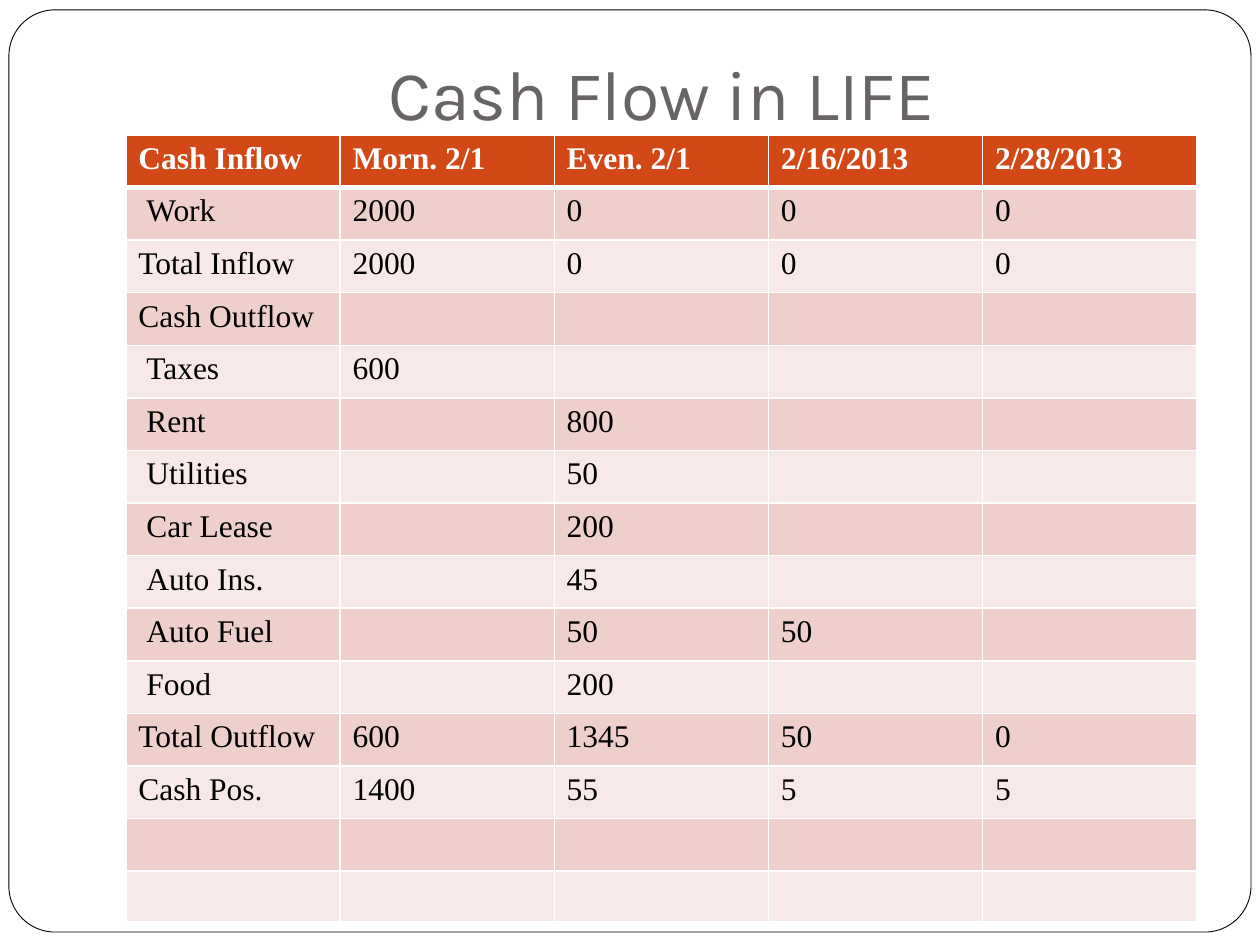
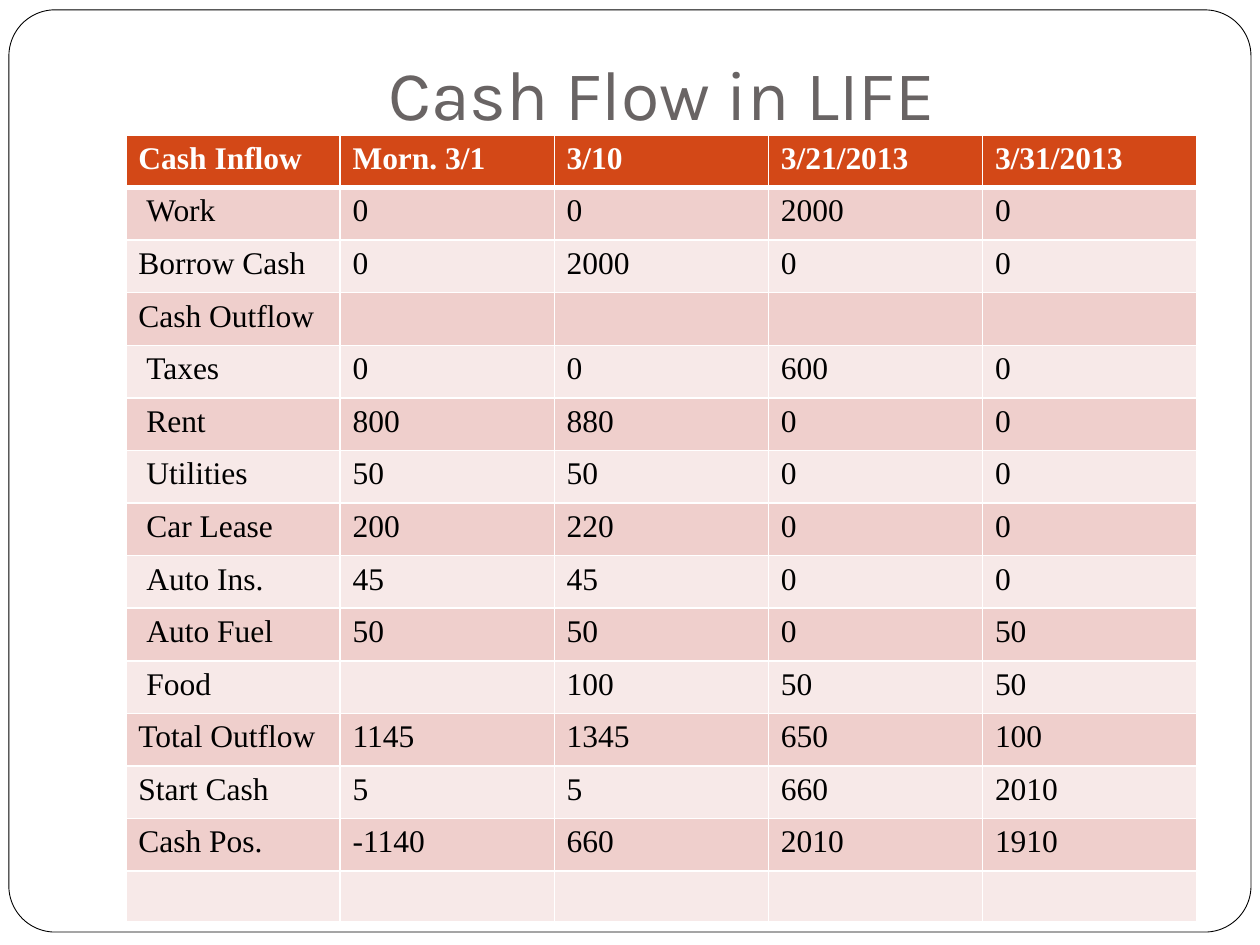
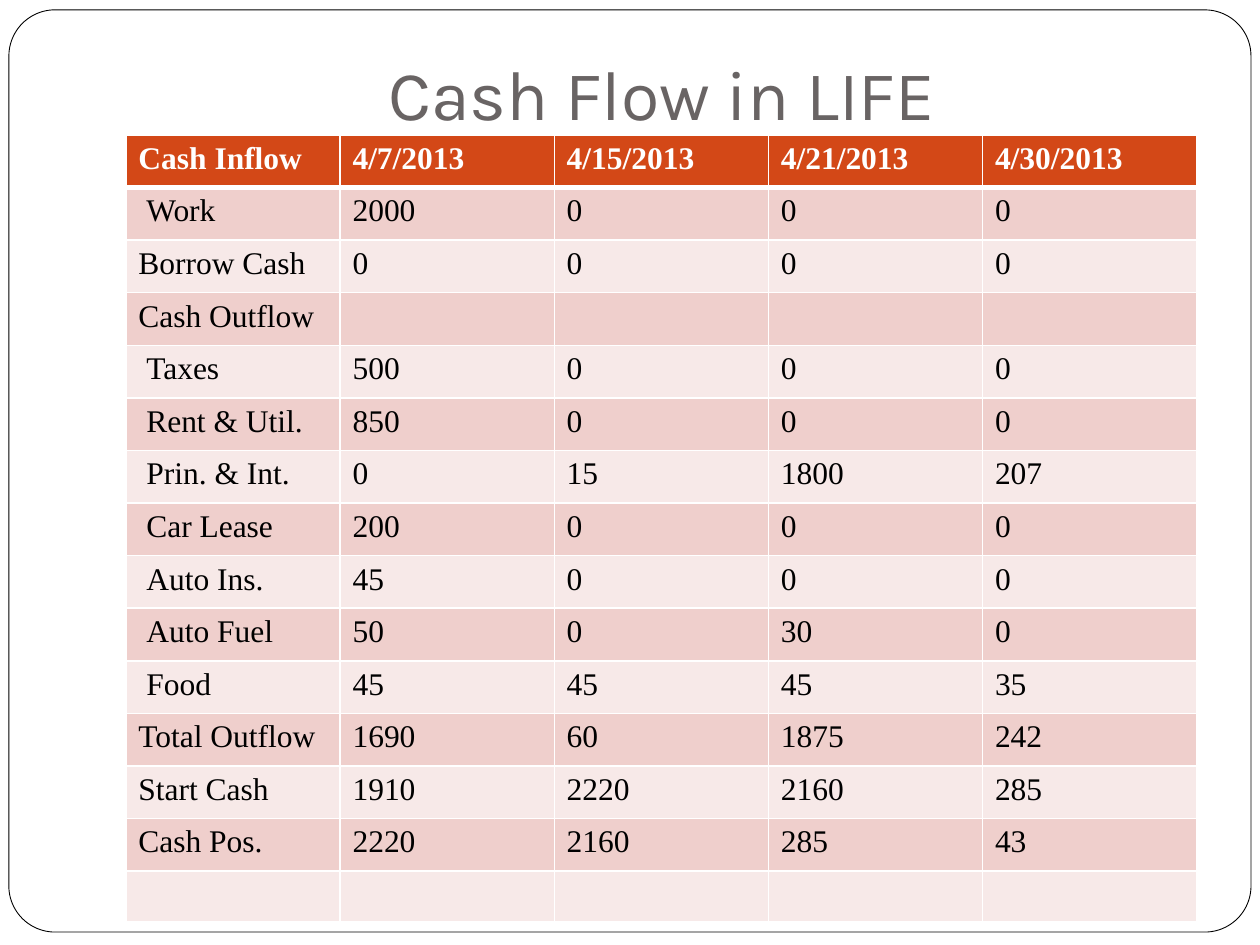
from lxml.etree import SubElement
from pptx import Presentation
from pptx.dml.color import RGBColor
from pptx.enum.shapes import MSO_SHAPE as Preset
from pptx.enum.text import MSO_ANCHOR as Anchor, MSO_AUTO_SIZE as AutoSize, PP_ALIGN as Align
from pptx.oxml.ns import qn
from pptx.util import Cm, Pt

WHITE, BLACK, TITLE_GREY = "FFFFFF", "000000", "696464"
HEADER_ORANGE, BANDS = "D34817", ("F7E9E8", "EFCFCC")
TITLE_FONT, TABLE_FONT = "Karla", "Times New Roman"
TITLE = "Cash Flow in LIFE"
FRAME_BOX = (0.18, 0.2, 25.04, 18.59)
TITLE_BOX = (2.54, 0.76, 21.59, 2.21)
TABLE_BOX = (2.54, 2.72, 21.59, 15.88)
ROW_COUNT, ROW_HEIGHT, LAST_ROW_HEIGHT = 15, 1.06, 1.02
CELL_INSET, ITEM_INSET = 0.25, 0.41
ITEMS = {"Work", "Taxes", "Rent", "Utilities", "Rent & Util.", "Prin. & Int.",
         "Car Lease", "Auto Ins.", "Auto Fuel", "Food"}

FEBRUARY = [
    ("Cash Inflow", "Morn. 2/1", "Even. 2/1", "2/16/2013", "2/28/2013"),
    ("Work", 2000, 0, 0, 0),
    ("Total Inflow", 2000, 0, 0, 0),
    ("Cash Outflow", "", "", "", ""),
    ("Taxes", 600, "", "", ""),
    ("Rent", "", 800, "", ""),
    ("Utilities", "", 50, "", ""),
    ("Car Lease", "", 200, "", ""),
    ("Auto Ins.", "", 45, "", ""),
    ("Auto Fuel", "", 50, 50, ""),
    ("Food", "", 200, "", ""),
    ("Total Outflow", 600, 1345, 50, 0),
    ("Cash Pos.", 1400, 55, 5, 5),
]
MARCH = [
    ("Cash Inflow", "Morn. 3/1", "3/10", "3/21/2013", "3/31/2013"),
    ("Work", 0, 0, 2000, 0),
    ("Borrow Cash", 0, 2000, 0, 0),
    ("Cash Outflow", "", "", "", ""),
    ("Taxes", 0, 0, 600, 0),
    ("Rent", 800, 880, 0, 0),
    ("Utilities", 50, 50, 0, 0),
    ("Car Lease", 200, 220, 0, 0),
    ("Auto Ins.", 45, 45, 0, 0),
    ("Auto Fuel", 50, 50, 0, 50),
    ("Food", "", 100, 50, 50),
    ("Total Outflow", 1145, 1345, 650, 100),
    ("Start Cash", 5, 5, 660, 2010),
    ("Cash Pos.", -1140, 660, 2010, 1910),
]
APRIL = [
    ("Cash Inflow", "4/7/2013", "4/15/2013", "4/21/2013", "4/30/2013"),
    ("Work", 2000, 0, 0, 0),
    ("Borrow Cash", 0, 0, 0, 0),
    ("Cash Outflow", "", "", "", ""),
    ("Taxes", 500, 0, 0, 0),
    ("Rent & Util.", 850, 0, 0, 0),
    ("Prin. & Int.", 0, 15, 1800, 207),
    ("Car Lease", 200, 0, 0, 0),
    ("Auto Ins.", 45, 0, 0, 0),
    ("Auto Fuel", 50, 0, 30, 0),
    ("Food", 45, 45, 45, 35),
    ("Total Outflow", 1690, 60, 1875, 242),
    ("Start Cash", 1910, 2220, 2160, 285),
    ("Cash Pos.", 2220, 2160, 285, 43),
]


def rgb(code):
    """Turn a hex string into a colour."""
    return RGBColor.from_string(code)


def set_font(paragraph, name, size, color, bold=False):
    """Format all the text of a paragraph."""
    font = paragraph.font
    font.name, font.size, font.bold = name, Pt(size), bold
    font.color.rgb = rgb(color)


def add_frame(slide, box):
    """Draw the rounded page frame behind everything else."""
    frame = slide.shapes.add_shape(Preset.ROUNDED_RECTANGLE, *map(Cm, box))
    frame.adjustments[0] = 0.05
    frame.shadow.inherit = False
    frame.fill.solid()
    frame.fill.fore_color.rgb = rgb(WHITE)
    frame.line.color.rgb = rgb(BLACK)
    frame.line.width = Pt(0.5)
    slide.shapes._spTree.insert(2, frame._element)


def set_title(slide, box, text):
    """Place and format the slide title."""
    title = slide.shapes.title
    title.left, title.top, title.width, title.height = map(Cm, box)
    text_frame = title.text_frame
    text_frame.text = text
    text_frame.auto_size = AutoSize.NONE
    text_frame.vertical_anchor = Anchor.BOTTOM
    text_frame.margin_left = text_frame.margin_right = text_frame.margin_bottom = Cm(0.25)
    text_frame.margin_top = Cm(0.13)
    heading = text_frame.paragraphs[0]
    heading.alignment = Align.CENTER
    set_font(heading, TITLE_FONT, 40, TITLE_GREY)


def set_borders(cell, row):
    """Rule a cell in white, thicker between header and body."""
    widths = {"L": 1, "R": 1, "T": 3 if row == 1 else 1, "B": 3 if row == 0 else 1}
    properties = cell._tc.get_or_add_tcPr()
    for side, width in widths.items():
        border = SubElement(properties, qn(f"a:ln{side}"), w=str(Pt(width)))
        SubElement(SubElement(border, qn("a:solidFill")), qn("a:srgbClr"), val=WHITE)


def fill_cell(cell, row, value):
    """Write one cash flow entry with its band colour."""
    is_header = row == 0
    set_borders(cell, row)
    cell.fill.solid()
    cell.fill.fore_color.rgb = rgb(HEADER_ORANGE if is_header else BANDS[row % 2])
    cell.margin_left = Cm(ITEM_INSET if value in ITEMS else CELL_INSET)
    cell.text = str(value)
    set_font(cell.text_frame.paragraphs[0], TABLE_FONT, 18,
             WHITE if is_header else BLACK, is_header)


def add_cash_table(slide, box, entries):
    """Build the cash flow table, leaving the rows after the entries empty."""
    columns = len(entries[0])
    table = slide.shapes.add_table(ROW_COUNT, columns, *map(Cm, box)).table
    for column in table.columns:
        column.width = Cm(box[2] / columns)
    for row in table.rows:
        row.height = Cm(ROW_HEIGHT)
    table.rows[ROW_COUNT - 1].height = Cm(LAST_ROW_HEIGHT)
    blank_rows = [("",) * columns] * (ROW_COUNT - len(entries))
    for row, values in enumerate(entries + blank_rows):
        for column, value in enumerate(values):
            fill_cell(table.cell(row, column), row, value)


def add_month(deck, entries):
    """Add the slide of one month."""
    slide = deck.slides.add_slide(deck.slide_layouts.get_by_name("Title Only"))
    add_frame(slide, FRAME_BOX)
    set_title(slide, TITLE_BOX, TITLE)
    add_cash_table(slide, TABLE_BOX, entries)


def main():
    """Build and save the deck."""
    deck = Presentation()
    deck.slide_width, deck.slide_height = Cm(25.4), Cm(19.05)
    for entries in (FEBRUARY, MARCH, APRIL):
        add_month(deck, entries)
    deck.save("out.pptx")


if __name__ == "__main__":
    main()
